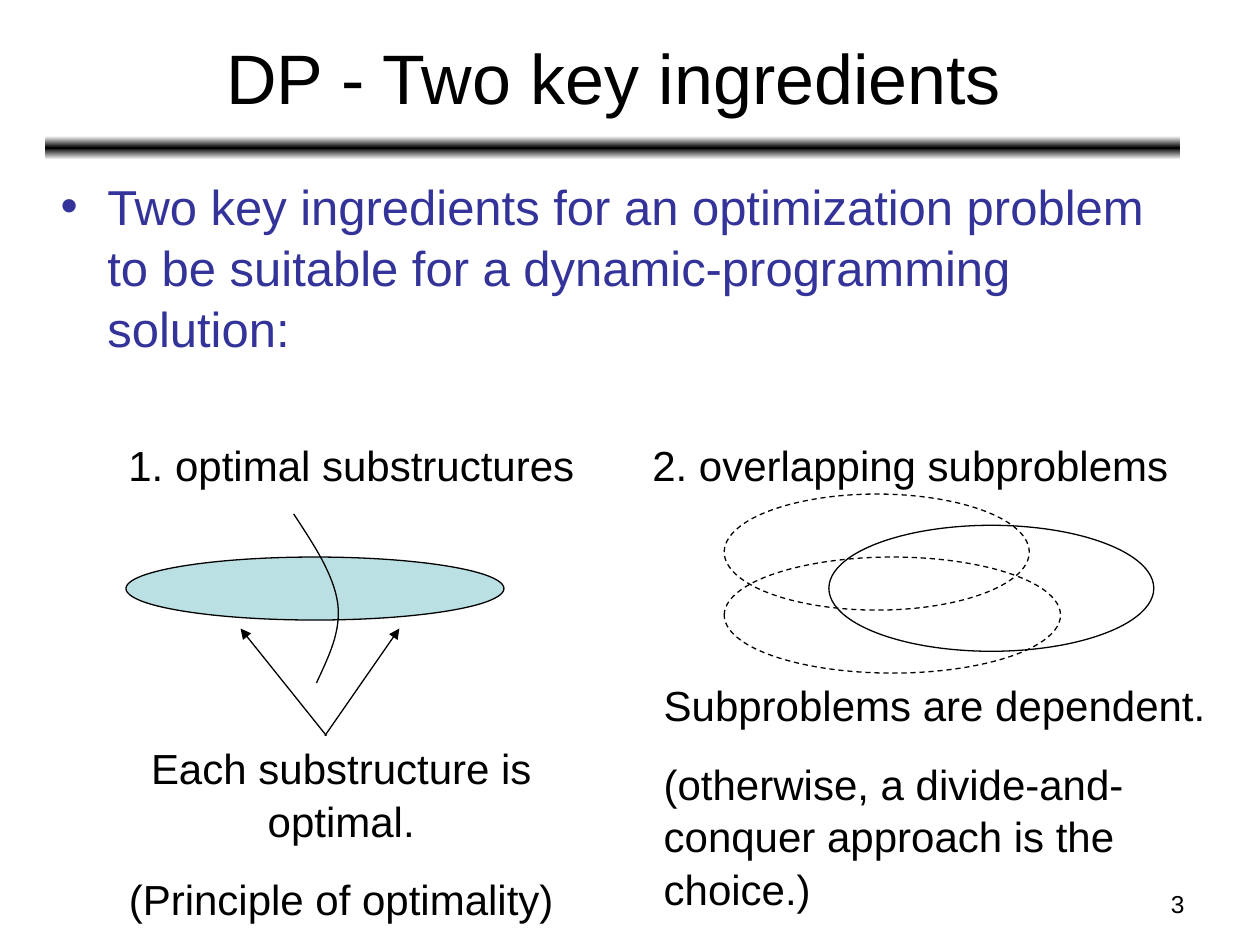
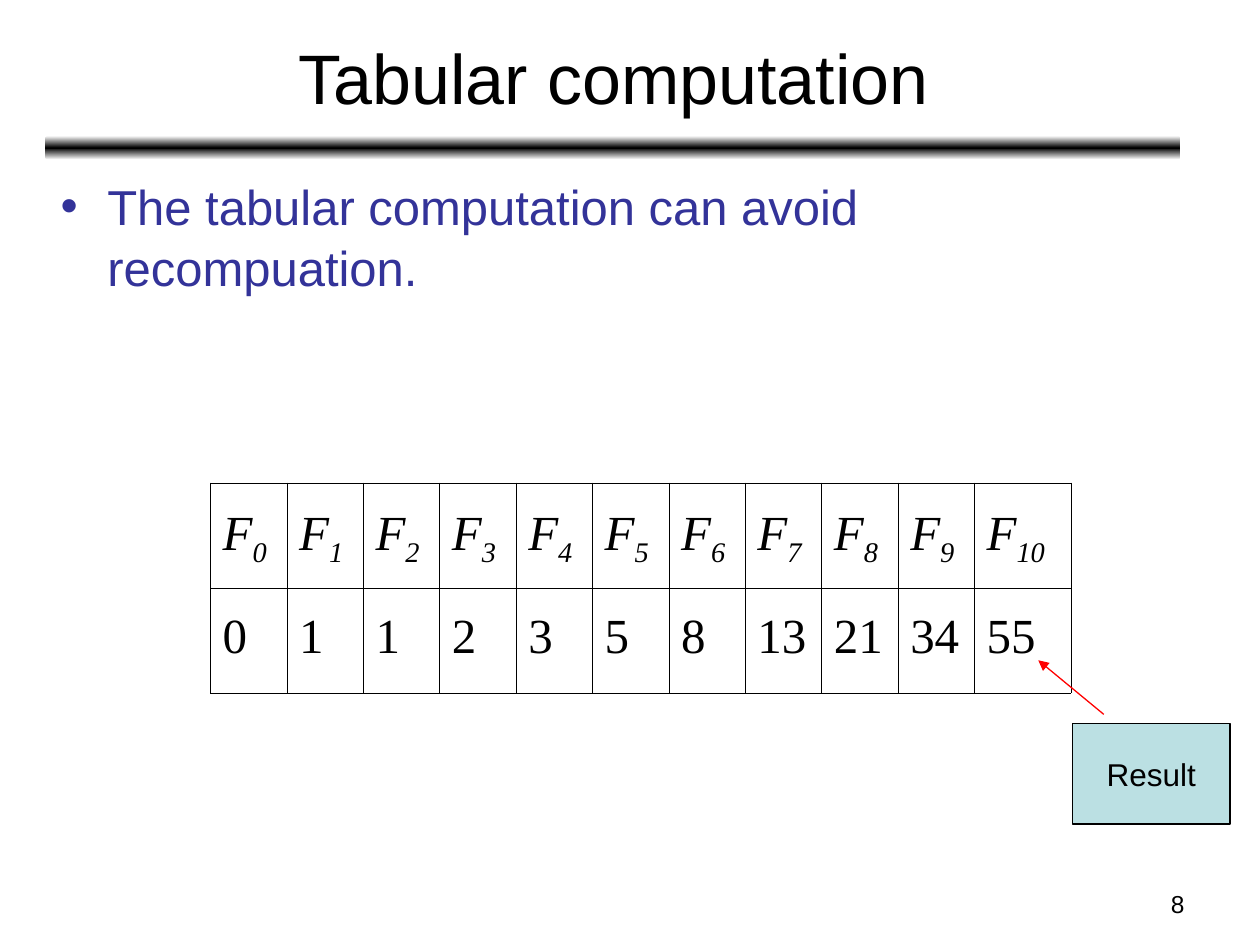
import copy

import lxml.etree
import pptx
import pptx.dml.color
import pptx.enum.dml
import pptx.enum.shapes
import pptx.enum.text
import pptx.oxml.ns
import pptx.util

Cm = pptx.util.Cm
Pt = pptx.util.Pt
qn = pptx.oxml.ns.qn
ALIGN = pptx.enum.text.PP_ALIGN
ANCHOR = pptx.enum.text.MSO_ANCHOR
FORM = pptx.enum.shapes.MSO_SHAPE
HUES = {"ink": "000000", "paper": "FFFFFF", "list": "333399",
        "pale": "BBE0E3", "alert": "FF0000"}


def tint(name):
    return pptx.dml.color.RGBColor.from_string(HUES[name])


def add(node, tag, **attrs):
    return lxml.etree.SubElement(node, qn(tag), attrs)


def bend(a, b, c, d, steps=16):
    def mix(t, i):
        u = 1 - t
        return u**3 * a[i] + 3 * u * u * t * b[i] + 3 * u * t * t * c[i] + t**3 * d[i]
    return [(mix(n / steps, 0), mix(n / steps, 1)) for n in range(1, steps + 1)]


class Deck:
    """Holds the shared style and the current slide."""

    def __init__(self):
        self.show = pptx.Presentation()
        self.show.slide_width, self.show.slide_height = Cm(25.4), Cm(19.05)

    def page(self, title, point, number):
        self.slide = self.show.slides.add_slide(self.show.slide_layouts[1])
        self.shapes = self.slide.shapes
        self.band()
        self.head(title)
        self.list(point)
        self.text((18.21, 17.78, 5.92, 0.89), [str(number)], 14, ALIGN.RIGHT)

    def place(self, shape, box):
        shape.left, shape.top, shape.width, shape.height = map(Cm, box)

    def font(self, para, size, hue="ink", face="Arial"):
        para.font.size, para.font.name = Pt(size), face
        para.font.color.rgb = tint(hue)

    def band(self):
        bar = self.shapes.add_shape(FORM.ROUNDED_RECTANGLE,
                                    *map(Cm, (0.91, 2.74, 22.89, 0.48)))
        bar.shadow.inherit = False
        bar.line.fill.background()
        bar.fill.gradient()
        bar.fill.gradient_angle = 90
        for stop, hue, spot in zip(bar.fill.gradient_stops, ("paper", "ink"), (0, 0.5)):
            stop.color.rgb, stop.position = tint(hue), spot
        stops = bar._element.spPr.find(".//" + qn("a:gsLst"))
        last = copy.deepcopy(stops[0])
        last.set("pos", "100000")
        stops.append(last)

    def head(self, words):
        title = self.shapes.title
        self.place(title, (0.94, 0.28, 22.86, 2.51))
        frame = title.text_frame
        frame.text = words
        frame.auto_size = pptx.enum.text.MSO_AUTO_SIZE.NONE
        frame.vertical_anchor = ANCHOR.MIDDLE
        frame.paragraphs[0].alignment = ALIGN.CENTER
        self.font(frame.paragraphs[0], 40)

    def list(self, words):
        body = self.slide.placeholders[1]
        self.place(body, (0.97, 3.38, 22.86, 14.1))
        frame = body.text_frame
        frame.text = words
        frame.auto_size = pptx.enum.text.MSO_AUTO_SIZE.NONE
        para = frame.paragraphs[0]
        para.space_before, para.line_spacing = Pt(0), 1.04
        props = para._p.get_or_add_pPr()
        props.set("marL", str(Cm(0.94)))
        props.set("indent", str(-Cm(0.94)))
        add(add(props, "a:buClr"), "a:srgbClr", val=HUES["list"])
        add(props, "a:buChar", char="•")
        self.font(para, 28, "list")

    def text(self, box, lines, size=24, align=ALIGN.LEFT):
        frame = self.shapes.add_textbox(*map(Cm, box)).text_frame
        frame.word_wrap = True
        frame.text = "\n".join(lines)
        for n, para in enumerate(frame.paragraphs):
            para.alignment, para.line_spacing = align, 1.04
            if n:
                para.space_before = Pt(15)
            self.font(para, size)

    def style(self, shape, fill=None, dash=False):
        shape.shadow.inherit = False
        if fill:
            shape.fill.solid()
            shape.fill.fore_color.rgb = tint(fill)
        else:
            shape.fill.background()
        shape.line.color.rgb, shape.line.width = tint("ink"), Pt(0.75)
        if dash:
            shape.line.dash_style = pptx.enum.dml.MSO_LINE.DASH

    def oval(self, box, fill=None, dash=False):
        self.style(self.shapes.add_shape(FORM.OVAL, *map(Cm, box)), fill, dash)

    def label(self, box, words):
        shape = self.shapes.add_shape(FORM.RECTANGLE, *map(Cm, box))
        self.style(shape, "pale")
        frame = shape.text_frame
        frame.word_wrap, frame.vertical_anchor = False, ANCHOR.MIDDLE
        frame.text = words
        frame.paragraphs[0].alignment = ALIGN.CENTER
        self.font(frame.paragraphs[0], 18)

    def curve(self, start, *bends):
        points = []
        for b, c, d in bends:
            points += bend(start if not points else points[-1], b, c, d)
        path = self.shapes.build_freeform(Cm(start[0]), Cm(start[1]))
        path.add_line_segments([(Cm(x), Cm(y)) for x, y in points], close=False)
        self.style(path.convert_to_shape())

    def arrow(self, start, end, hue="ink"):
        line = self.shapes.add_connector(pptx.enum.shapes.MSO_CONNECTOR.STRAIGHT,
                                         *map(Cm, start + end))
        line.line.color.rgb, line.line.width = tint(hue), Pt(0.75)
        add(line.line._get_or_add_ln(), "a:tailEnd", type="triangle")
        add(line._element.spPr, "a:effectLst")

    def cell(self, cell, *parts):
        cell.vertical_anchor = ANCHOR.MIDDLE
        cell.margin_left = cell.margin_right = Cm(0.25)
        cell.margin_top = cell.margin_bottom = Cm(0.13)
        props = cell._tc.get_or_add_tcPr()
        for side in "LRTB":
            edge = add(props, "a:ln" + side, w=str(Pt(0.1)))
            add(add(edge, "a:solidFill"), "a:srgbClr", val=HUES["ink"])
        cell.fill.background()
        para = cell.text_frame.paragraphs[0]
        para.line_spacing = 0.8
        for part in parts:
            run = para.add_run()
            run.text = part
        if len(parts) > 1:
            run._r.get_or_add_rPr().set("baseline", "-25000")
        self.font(para, 28, face="Times New Roman")
        para.font.italic = len(parts) > 1

    def table(self, spot, values, widths, height):
        grid = self.shapes.add_table(2, len(values), *map(Cm, spot),
                                     Cm(sum(widths)), Cm(2 * height)).table
        grid.first_row = grid.horz_banding = False
        for row in grid.rows:
            row.height = Cm(height)
        for n, (value, width) in enumerate(zip(values, widths)):
            grid.columns[n].width = Cm(width)
            self.cell(grid.cell(0, n), "F", str(n))
            self.cell(grid.cell(1, n), str(value))


def main():
    deck = Deck()
    deck.page("DP - Two key ingredients",
              "Two key ingredients for an optimization problem to be suitable "
              "for a dynamic-programming solution:", 3)
    deck.oval((2.54, 11.23, 7.62, 1.27), "pale")
    deck.curve((5.92, 10.36),
               ((6.32, 10.97), (6.73, 11.58), (6.81, 12.17)),
               ((6.88, 12.73), (6.63, 13.23), (6.38, 13.77)))
    deck.arrow((6.58, 14.83), (4.85, 12.67))
    deck.arrow((6.55, 14.83), (8.05, 12.67))
    deck.text((1.7, 14.81, 10.36, 3.84),
              ["Each substructure is optimal.", "(Principle of optimality)"],
              align=ALIGN.CENTER)
    deck.oval((14.6, 9.96, 6.15, 2.34), dash=True)
    deck.oval((16.71, 10.59, 6.55, 2.54))
    deck.oval((14.6, 11.23, 6.78, 2.34), dash=True)
    deck.text((2.34, 8.69, 10.36, 1.27), ["1. optimal substructures"])
    deck.text((12.9, 8.69, 11, 1.27), ["2. overlapping subproblems"])
    deck.text((13.13, 13.54, 12.27, 4.85),
              ["Subproblems are dependent.",
               "(otherwise, a divide-and-conquer approach is the choice.)"])

    deck.page("Tabular computation",
              "The tabular computation can avoid recompuation.", 8)
    series = [0, 1]
    while len(series) < 11:
        series.append(series[-1] + series[-2])
    deck.table((4.24, 9.73), series, [1.54] * 10 + [1.95], 2.12)
    deck.arrow((22.25, 14.4), (20.93, 13.31), "alert")
    deck.label((21.62, 14.58, 3.18, 2.03), "Result")
    deck.show.save("out.pptx")


if __name__ == "__main__":
    main()
